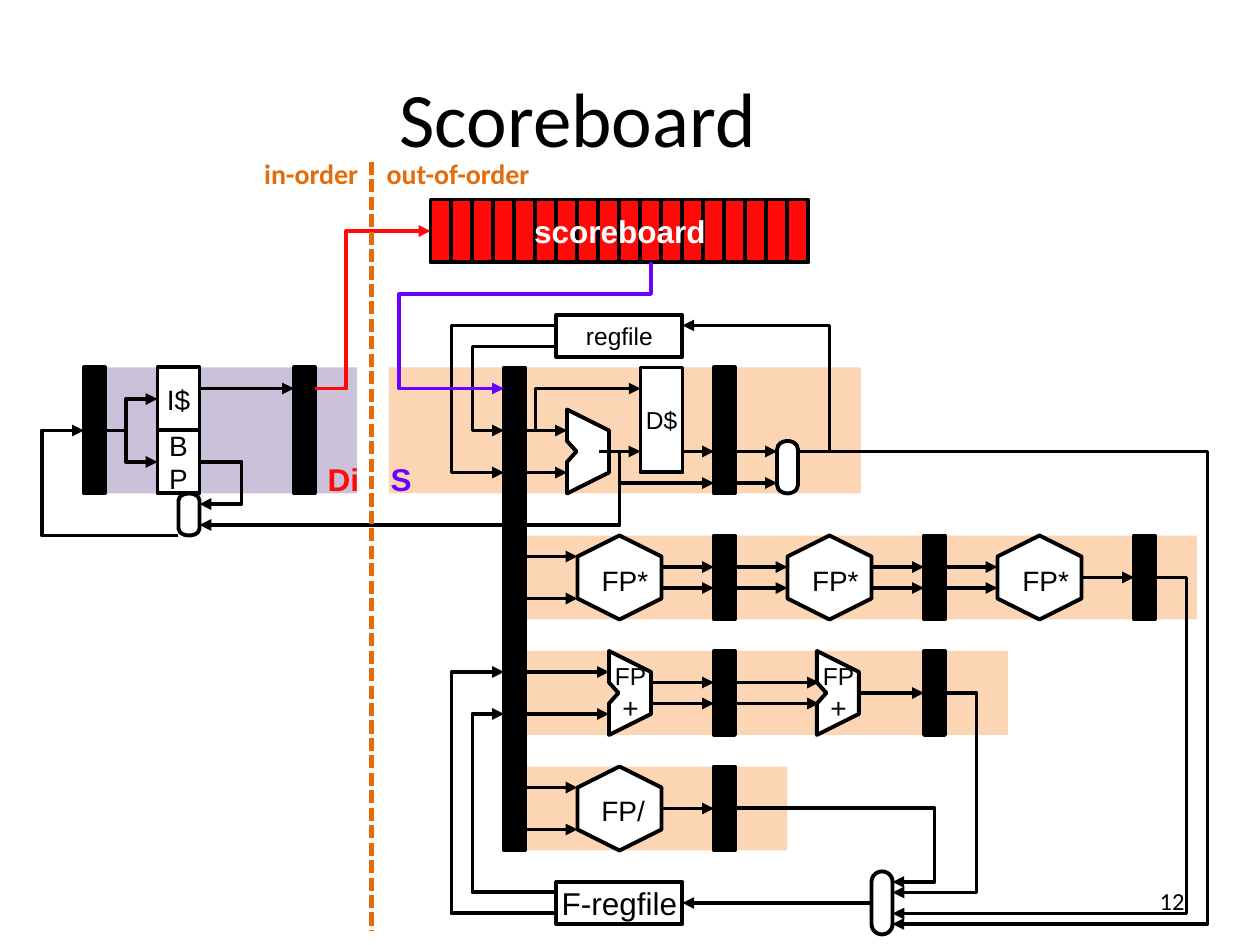
import pptx
import pptx.util
import pptx.dml.color
import pptx.enum.dml
import pptx.enum.shapes
import pptx.enum.text
import pptx.oxml
import pptx.oxml.ns
import lxml.etree

Inches, Pt = pptx.util.Inches, pptx.util.Pt
rgb = pptx.dml.color.RGBColor.from_string
MSO = pptx.enum.shapes.MSO_SHAPE
ALIGN = pptx.enum.text.PP_ALIGN
ANCHOR = pptx.enum.text.MSO_ANCHOR
qn = pptx.oxml.ns.qn

BLACK, WHITE, RED, PURPLE = "000000", "FFFFFF", "FF0909", "6B02FF"
PEACH, LILAC, ORANGE = "FCD5B5", "CCC1DA", "E46C0A"

prs = pptx.Presentation()
prs.slide_width, prs.slide_height = Inches(10), Inches(7.5)
s = prs.slides.add_slide(prs.slide_layouts[6])


def write(sp, lines, color=BLACK, name="Arial", bold=False,
          align=ALIGN.CENTER, anchor=ANCHOR.MIDDLE):
    """Fill a shape with (text, size) lines."""
    tf = sp.text_frame
    tf.word_wrap = False
    tf.vertical_anchor = anchor
    for i, (text, size) in enumerate(lines):
        p = tf.add_paragraph() if i else tf.paragraphs[0]
        p.alignment = align
        r = p.add_run()
        r.text = text
        r.font.color.rgb = rgb(color)
        fmt = {"name": name, "size": Pt(size), "bold": bold}
        for key, value in fmt.items():
            setattr(r.font, key, value)


def wire(points, color=BLACK, arrow=True, width=2.25):
    """Draw a straight or bent wire through points in twelfths of an inch."""
    pts = [(Inches(x / 12), Inches(y / 12)) for x, y in points]
    if len(pts) == 2:
        sp = s.shapes.add_connector(
            pptx.enum.shapes.MSO_CONNECTOR.STRAIGHT, *pts[0], *pts[1])
    else:
        fb = s.shapes.build_freeform(*pts[0])
        fb.add_line_segments(pts[1:], close=False)
        sp = fb.convert_to_shape()
        sp.fill.background()
    sp.line.color.rgb = rgb(color)
    sp.line.width = Pt(width)
    if arrow:
        lxml.etree.SubElement(sp.line._get_or_add_ln(), qn("a:tailEnd"), type="triangle")
    lxml.etree.SubElement(sp._element.spPr, qn("a:effectLst"))
    return sp


# Diagram grid: every coordinate below is in twelfths of an inch.
# Pipeline bands
for x, y, w, h, color in [
    (37, 35, 45, 12, PEACH), (10, 35, 24, 12, LILAC), (50, 51, 64, 8, PEACH),
    (50, 62, 46, 8, PEACH), (50, 73, 25, 8, PEACH),
]:
    sp = s.shapes.add_shape(MSO.RECTANGLE, *[Inches(v / 12) for v in (x, y, w, h)])
    sp.shadow.inherit = False
    sp.fill.solid()
    sp.fill.fore_color.rgb = rgb(color)
    sp.line.fill.background()

# Rectangles: latches, scoreboard cells, memories and register files
rects = [(x, 35, 2, 12, BLACK, []) for x in (8, 28, 68)]
rects += [(x, 51, 2, 8, BLACK, []) for x in (68, 88, 108)]
rects += [(x, 62, 2, 8, BLACK, []) for x in (68, 88)]
rects += [(68, 73, 2, 8, BLACK, []), (48, 35, 2, 46, BLACK, [])]
rects += [(41 + 2 * i, 19, 2, 6, RED, []) for i in range(18)]
rects += [
    (53, 30, 12, 4, WHITE, [("regfile", 14)]),
    (61, 35, 4, 10, WHITE, [("D$", 14)]),
    (15, 35, 4, 6, WHITE, [("I$", 16)]),
    (15, 41, 4, 6, WHITE, [("B", 16), ("P", 16)]),
    (53, 84, 12, 4, WHITE, [("F-regfile", 18)]),
]
blocks = []
for x, y, w, h, color, lines in rects:
    sp = s.shapes.add_shape(MSO.RECTANGLE, *[Inches(v / 12) for v in (x, y, w, h)])
    write(sp, lines)
    blocks.append((sp, color))

# Multiplexers: centre and length of each upright capsule
for cx, cy, length in [(75, 44.5, 5), (18, 49, 4), (84, 86, 6)]:
    sp = s.shapes.add_shape(
        MSO.FLOWCHART_TERMINATOR, Inches((cx - length / 2) / 12),
        Inches((cy - 1) / 12), Inches(length / 12), Inches(2 / 12))
    sp.rotation = 90
    blocks.append((sp, WHITE))

# Functional units: notched adders and hexagons
adder = [(0, 0), (0, 3), (0.9, 4), (0, 5), (0, 8), (4, 6), (4, 2)]
hexagon = [(4, 0), (8, 2), (8, 6), (4, 8), (0, 6), (0, 2)]
for outline, x, y in [
    (adder, 54, 39), (adder, 58, 62), (adder, 77.8, 62),
    (hexagon, 55, 51), (hexagon, 75, 51), (hexagon, 95, 51), (hexagon, 55, 73),
]:
    pts = [(Inches((x + dx) / 12), Inches((y + dy) / 12)) for dx, dy in outline]
    fb = s.shapes.build_freeform(*pts[0])
    fb.add_line_segments(pts[1:], close=True)
    blocks.append((fb.convert_to_shape(), WHITE))

for sp, color in blocks:
    sp.shadow.inherit = False
    sp.fill.solid()
    sp.fill.fore_color.rgb = rgb(color)
    sp.line.color.rgb = rgb(BLACK)
    sp.line.width = Pt(2.25)

# Straight arrows: rows, then start and end of each arrow
for rows, spans in [
    ([37], [(19, 28)]),
    ([41, 45], [(50, 54)]),
    ([43], [(57, 61), (65, 68), (70, 74)]),
    ([46], [(70, 74)]),
    ([53, 57], [(50, 55)]),
    ([54, 56], [(63, 68), (70, 75), (83, 88), (90, 95)]),
    ([55], [(103, 108)]),
    ([64, 68], [(50, 58)]),
    ([65, 67], [(62, 68), (70, 78)]),
    ([66], [(82, 88)]),
    ([75, 79], [(50, 55)]),
    ([77], [(63, 68)]),
    ([86], [(83, 65)]),
]:
    for y in rows:
        for x1, x2 in spans:
            wire([(x1, y), (x2, y)])
wire([(10, 41), (12, 41)], arrow=False)

# Bent arrows
for points in [
    [(12, 42), (12, 38), (15, 38)],
    [(12, 42), (12, 44), (15, 44)],
    [(19, 44), (23, 44), (23, 48), (19, 48)],
    [(59, 43), (59, 50), (19, 50)],
    [(17, 51), (4, 51), (4, 41), (8, 41)],
    [(51, 41), (51, 37), (61, 37)],
    [(59, 43), (59, 46), (68, 46)],
    [(53, 33), (45, 33), (45, 41), (48, 41)],
    [(53, 31), (43, 31), (43, 45), (48, 45)],
    [(76, 43), (79, 43), (79, 31), (65, 31)],
    [(53, 85), (45, 85), (45, 68), (48, 68)],
    [(53, 87), (43, 87), (43, 64), (48, 64)],
    [(70, 77), (89, 77), (89, 84), (85, 84)],
    [(90, 66), (93, 66), (93, 85), (85, 85)],
    [(110, 55), (113, 55), (113, 87), (85, 87)],
    [(78, 43), (115, 43), (115, 88), (85, 88)],
]:
    wire(points)
wire([(30, 37), (33, 37), (33, 22), (41, 22)], RED)
wire([(62, 25), (62, 28), (38, 28), (38, 37), (48, 37)], PURPLE)

# Boundary between in-order and out-of-order
sp = wire([(35.4, 15.4), (35.4, 88.6)], ORANGE, arrow=False, width=2.5)
sp.line.dash_style = pptx.enum.dml.MSO_LINE.SQUARE_DOT
sp.line._get_or_add_ln().find(qn("a:prstDash")).set("val", "sysDash")

# Labels, placed in inches
top = {"anchor": ANCHOR.TOP}
calibri = {"name": "Calibri"}
orange = {"color": ORANGE, "bold": True, **calibri}
labels = [
    (0.5, 0.3, 8.17, 1.25, [("Scoreboard", 44)], calibri),
    (8.33, 6.95, 1.17, 0.4, [("12", 14)], {"align": ALIGN.RIGHT, **calibri}),
    (3.42, 1.58, 3, 0.5, [("scoreboard", 18)], {"color": WHITE, "bold": True}),
    (3, 3.6, 0.37, 0.4, [("S", 18)], {"color": PURPLE, "bold": True, **top}),
    (2.5, 3.6, 0.45, 0.4, [("Di", 18)], {"color": RED, "bold": True, **top}),
    (4.67, 6.25, 0.55, 0.37, [("FP/", 16)], top),
    (2.94, 1.19, 1.39, 0.37, [("out-of-order", 16)], orange),
    (1.99, 1.19, 0.96, 0.37, [("in-order", 16)], orange),
]
labels += [(x, 4.42, 0.58, 0.37, [("FP*", 16)], top) for x in (4.67, 6.34, 8.01)]
labels += [(x, 5.2, 0.45, 0.61, [("FP", 14), ("+", 16)], top) for x in (4.78, 6.43)]
for x, y, w, h, lines, style in labels:
    sp = s.shapes.add_textbox(Inches(x), Inches(y), Inches(w), Inches(h))
    write(sp, lines, **style)

prs.save("out.pptx")
